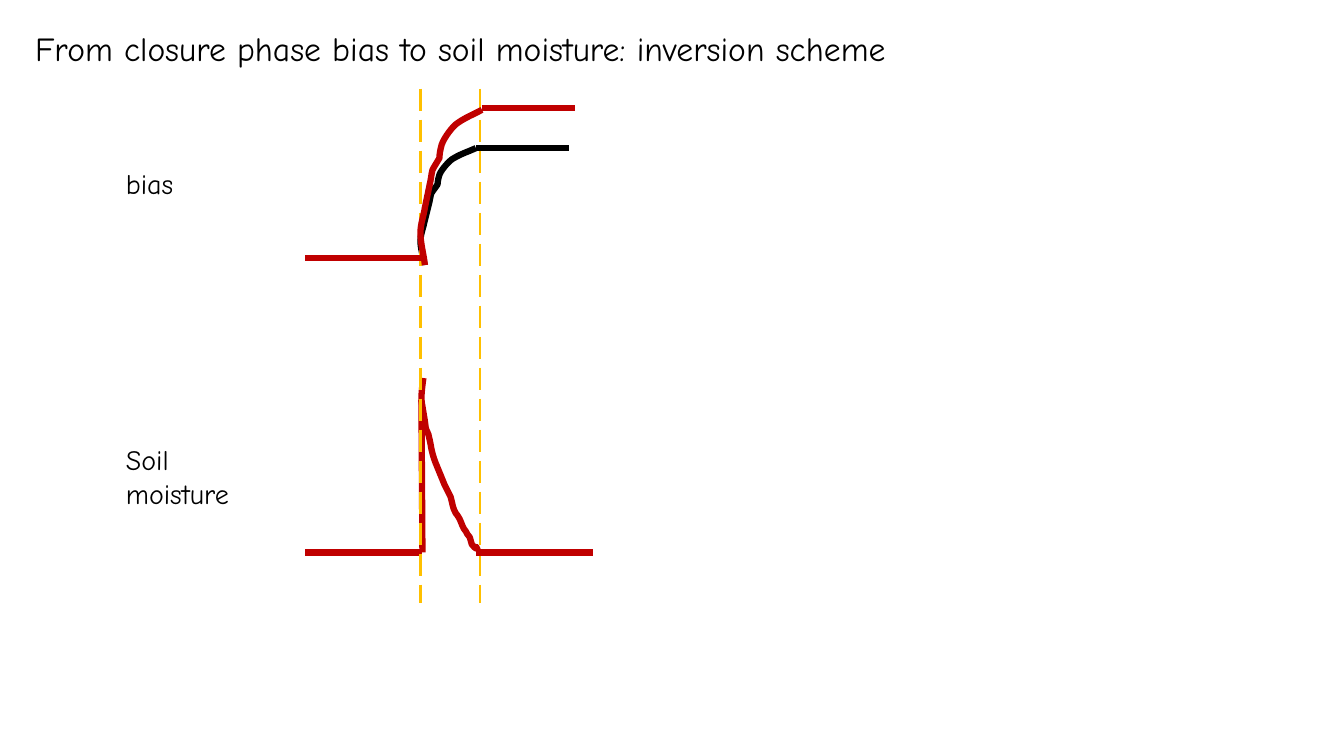
from dataclasses import dataclass

from lxml import etree
from pptx import Presentation
from pptx import util as u
from pptx.dml.color import RGBColor
from pptx.enum import dml, shapes, text
from pptx.oxml import ns


@dataclass(frozen=True)
class Theme:
    font: str = "Comic Neue"
    ink: RGBColor = RGBColor(0x00, 0x00, 0x00)
    red: RGBColor = RGBColor(0xC0, 0x00, 0x00)
    amber: RGBColor = RGBColor(0xFF, 0xC0, 0x00)
    title_size: int = 24
    label_size: int = 20
    trace_width: float = 4.5
    guide_width: float = 2


@dataclass(frozen=True)
class Box:
    left: float
    top: float
    width: float
    height: float

    @property
    def right(self):
        return self.left + self.width

    @property
    def bottom(self):
        return self.top + self.height


THEME = Theme()

# Curves inside their own boxes, in inches: a start point, then
# straight segments (x, y) and cubic segments (x1, y1, x2, y2, x, y).
RISE_SIZE = (0.55, 1.16)
RISE = [
    (0.04, 1.16), (0.03, 1.08, 0, 1.0, 0, 0.92),
    (0, 0.85, 0.03, 0.79, 0.04, 0.73), (0.09, 0.53),
    (0.1, 0.49, 0.1, 0.45, 0.12, 0.43), (0.17, 0.36),
    (0.17, 0.33, 0.18, 0.29, 0.19, 0.26),
    (0.21, 0.21, 0.29, 0.12, 0.33, 0.1),
    (0.38, 0.07, 0.43, 0.05, 0.48, 0.03), (0.55, 0),
]
DECAY_SIZE = (0.55, 1.71)
DECAY = [
    (0.02, 0), (0.01, 0.07, 0, 0.14, 0, 0.22),
    (0.01, 0.28, 0.02, 0.34, 0.03, 0.4),
    (0.05, 0.52, 0.03, 0.47, 0.07, 0.56),
    (0.08, 0.59, 0.08, 0.62, 0.09, 0.65),
    (0.1, 0.72, 0.12, 0.79, 0.14, 0.84), (0.23, 1.06), (0.29, 1.18),
    (0.31, 1.25, 0.31, 1.29, 0.34, 1.34),
    (0.35, 1.36, 0.37, 1.37, 0.38, 1.4),
    (0.4, 1.44, 0.41, 1.49, 0.44, 1.52),
    (0.45, 1.54, 0.46, 1.56, 0.48, 1.58),
    (0.49, 1.6, 0.49, 1.63, 0.5, 1.65),
    (0.58, 1.75, 0.52, 1.62, 0.56, 1.71),
]


def add_label(slide, box, wording, size, wrap=True):
    label = slide.shapes.add_textbox(
        *map(u.Inches, (box.left, box.top, box.width, box.height)))
    frame = label.text_frame
    frame.word_wrap = wrap
    frame.auto_size = text.MSO_AUTO_SIZE.SHAPE_TO_FIT_TEXT
    run = frame.paragraphs[0].add_run()
    run.text = wording
    run.font.name = THEME.font
    run.font.size = u.Pt(size)
    run.font.color.rgb = THEME.ink


def add_line(parent, start, end, color, width=THEME.trace_width, dash=None):
    line = parent.shapes.add_connector(
        shapes.MSO_CONNECTOR.STRAIGHT, *map(u.Inches, (*start, *end)))
    line.line.color.rgb = color
    line.line.width = u.Pt(width)
    if dash is not None:
        line.line.dash_style = dash
    etree.SubElement(line._element.spPr, ns.qn("a:effectLst"))


def bend_segments(curve, segments):
    """Turn the straight segments that have control points into cubics."""
    straights = list(curve._element.iter(ns.qn("a:lnTo")))
    for straight, points in zip(straights, segments):
        if len(points) == 1:
            continue
        straight.tag = ns.qn("a:cubicBezTo")
        for child in list(straight):
            straight.remove(child)
        for x, y in points:
            etree.SubElement(straight, ns.qn("a:pt"),
                             x=str(x - curve.left), y=str(y - curve.top))


def add_curve(parent, box, outline, size, color):
    """Draw the curve stretched from its own size to the box."""
    start, *segments = [
        [(u.Inches(box.left + x * box.width / size[0]),
          u.Inches(box.top + y * box.height / size[1]))
         for x, y in zip(segment[::2], segment[1::2])]
        for segment in outline]
    builder = parent.shapes.build_freeform(*start[0])
    builder.add_line_segments([points[-1] for points in segments], close=False)
    curve = builder.convert_to_shape()
    bend_segments(curve, segments)
    curve.shadow.inherit = False
    curve.fill.background()
    curve.line.color.rgb = color
    curve.line.width = u.Pt(THEME.trace_width)


def add_bias_trace(slide, box, color, plateau_lift=0):
    """Baseline, rise filling the box, and plateau to its right."""
    trace = slide.shapes.add_group_shape()
    baseline = box.bottom - 0.07
    plateau = box.top - plateau_lift
    add_line(trace, (box.left - 1.14, baseline),
             (box.left + 0.02, baseline), color)
    add_curve(trace, box, RISE, RISE_SIZE, color)
    add_line(trace, (box.right, plateau), (box.right + 0.92, plateau), color)


def add_moisture_trace(slide, box, color):
    """Baseline on both sides of a sharp peak whose decay fills the box."""
    trace = slide.shapes.add_group_shape()
    baseline = box.bottom + 0.02
    for left in (box.left - 1.15, box.right - 0.01):
        add_line(trace, (left, baseline), (left + 1.16, baseline), color)
    add_line(trace, (box.left, box.top + 0.22),
             (box.left + 0.01, baseline), color)
    add_curve(trace, box, DECAY, DECAY_SIZE, color)


def add_guide(slide, x, top=0.88, bottom=5.98):
    add_line(slide, (x, top), (x, bottom), THEME.amber,
             THEME.guide_width, dml.MSO_LINE.LONG_DASH)


def add_inversion_slide(deck):
    slide = deck.slides.add_slide(deck.slide_layouts[6])
    wetting, drying = 4.17, 4.76
    add_label(slide, Box(0.25, 0.23, 11.06, 0.5),
              "From closure phase bias to soil moisture: inversion scheme",
              THEME.title_size)
    add_bias_trace(slide, Box(wetting, 1.47, 0.55, 1.16), THEME.ink)
    add_label(slide, Box(1.15, 1.6, 0.7, 0.44), "bias",
              THEME.label_size, wrap=False)
    add_label(slide, Box(1.15, 4.34, 1.55, 0.77), "Soil moisture",
              THEME.label_size)
    add_guide(slide, drying)
    add_moisture_trace(slide, Box(wetting + 0.01, 3.75, 0.55, 1.71), THEME.red)
    add_guide(slide, wetting)
    add_bias_trace(slide, Box(wetting, 1.09, 0.61, 1.54), THEME.red,
                   plateau_lift=0.02)


def main():
    deck = Presentation()
    deck.slide_width = u.Inches(13.33)
    deck.slide_height = u.Inches(7.5)
    add_inversion_slide(deck)
    deck.save("out.pptx")


if __name__ == "__main__":
    main()
